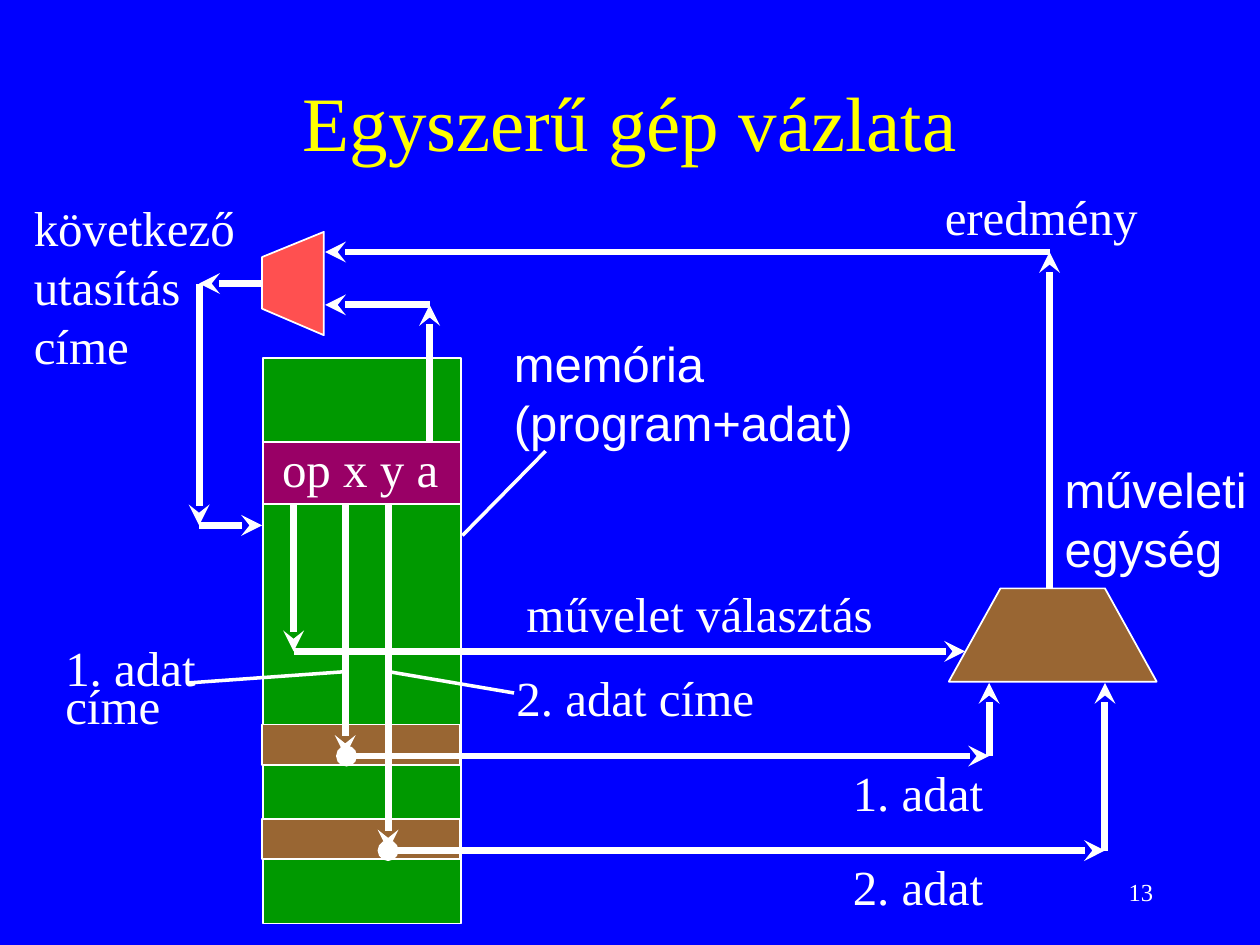
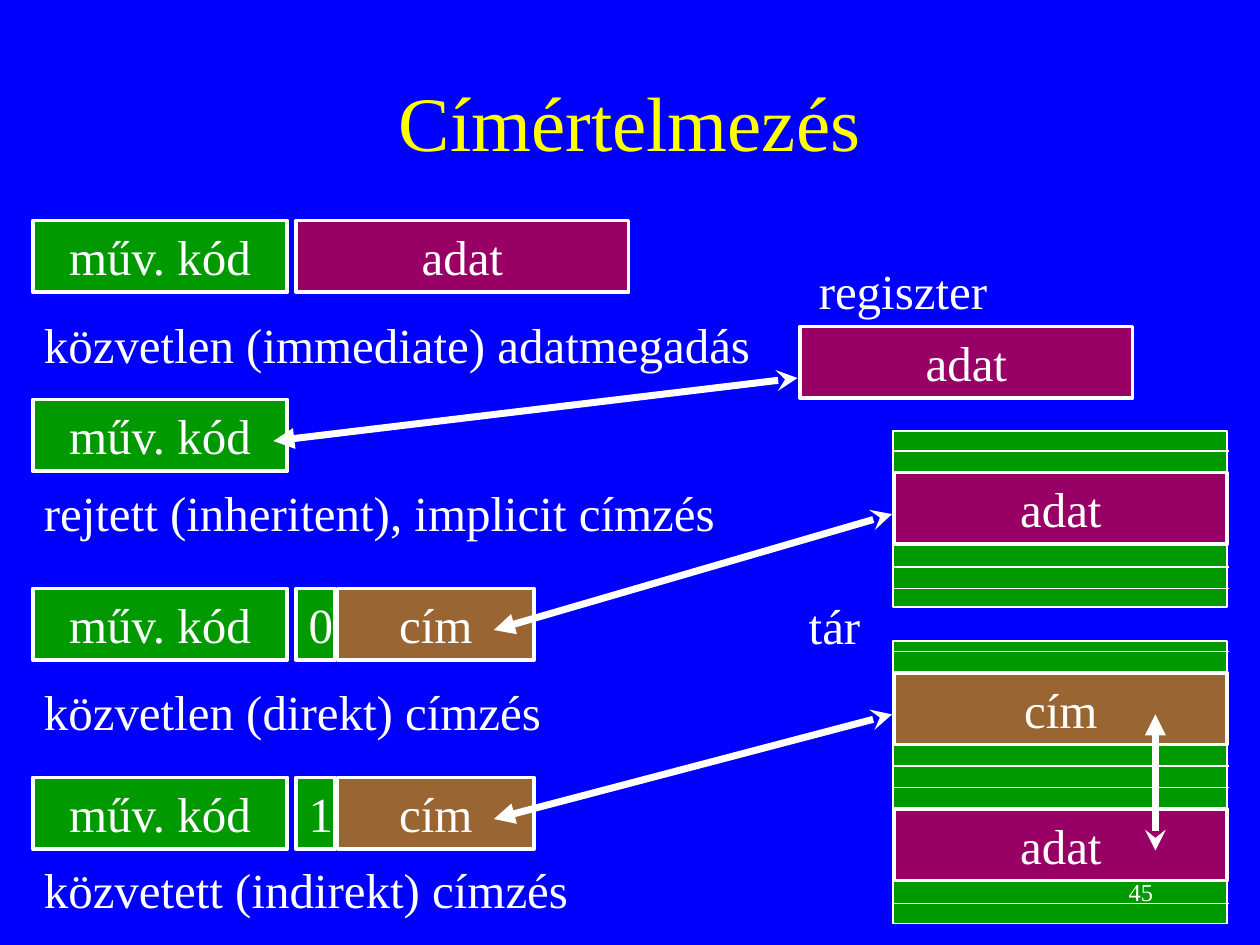
from pptx import Presentation, util as u
from pptx.dml.color import RGBColor
from pptx.enum import shapes, text
from pptx.oxml.ns import qn
from lxml import etree

PX = 9144  # EMU per px: 100 px to the inch

BLUE = RGBColor(0x00, 0x00, 0xFF)
YELLOW = RGBColor(0xFF, 0xFF, 0x00)
WHITE = RGBColor(0xFF, 0xFF, 0xFF)
GREEN = RGBColor(0x00, 0x99, 0x00)
PURPLE = RGBColor(0x99, 0x00, 0x66)
BROWN = RGBColor(0x99, 0x66, 0x33)
CORAL = RGBColor(0xFF, 0x50, 0x50)

SERIF, SANS = "Times New Roman", "Arial"
TITLE_FONT = {"name": SERIF, "size": u.Pt(44)}
LABEL_FONT = {"name": SERIF, "size": u.Pt(28)}
LABEL_FRAME = {"word_wrap": False, "auto_size": text.MSO_AUTO_SIZE.SHAPE_TO_FIT_TEXT}
BOX_FRAME = {"word_wrap": True, "vertical_anchor": text.MSO_ANCHOR.TOP}
NUMBER_FRAME = {"word_wrap": True, "vertical_anchor": text.MSO_ANCHOR.MIDDLE}


def add_box(slide, box, words="", fill=None, line_width=2, frame=None, **font):
    """Add a filled rectangle with centred words, or a plain label if there is no fill."""
    left, top, width, height = (length * PX for length in box)
    if fill is None:
        shape = slide.shapes.add_textbox(left, top, width, height)
    else:
        shape = slide.shapes.add_shape(
            shapes.MSO_SHAPE.RECTANGLE, left, top, width, height)
        shape.shadow.inherit = False
        shape.fill.solid()
        shape.fill.fore_color.rgb = fill
        shape.line.color.rgb = WHITE
        shape.line.width = u.Pt(line_width)
    text_frame = shape.text_frame
    text_frame.text = words
    for key, value in (frame or (BOX_FRAME if fill else LABEL_FRAME)).items():
        setattr(text_frame, key, value)
    for paragraph in text_frame.paragraphs:
        paragraph.alignment = text.PP_ALIGN.CENTER if fill else text.PP_ALIGN.LEFT
        for key, value in {**LABEL_FONT, **font}.items():
            setattr(paragraph.font, key, value)
        paragraph.font.color.rgb = WHITE
    return shape


def add_line(slide, ends, width=4, head=None, tail=None):
    """Draw a white line; head is the mark at its start, tail the one at its end."""
    line = slide.shapes.add_connector(
        shapes.MSO_CONNECTOR.STRAIGHT, *(length * PX for length in ends))
    line.line.color.rgb = WHITE
    line.line.width = u.Pt(width)
    properties = line._element.spPr
    for tag, mark in (("a:headEnd", head), ("a:tailEnd", tail)):
        if mark:
            etree.SubElement(properties.find(qn("a:ln")), qn(tag), type=mark)
    etree.SubElement(properties, qn("a:effectLst"))


presentation = Presentation()
presentation.slide_width = 1000 * PX
presentation.slide_height = 750 * PX
background = presentation.slide_master.background.fill
background.solid()
background.fore_color.rgb = BLUE

# Shared title
slides = []
for heading in ("Egyszerű gép vázlata", "Címértelmezés"):
    slide = presentation.slides.add_slide(presentation.slide_layouts[5])
    title = slide.shapes.title
    title.left, title.top, title.width, title.height = (
        length * PX for length in (75, 33, 850, 125))
    title.text_frame.text = heading
    title.text_frame.auto_size = text.MSO_AUTO_SIZE.NONE
    title.text_frame.vertical_anchor = text.MSO_ANCHOR.MIDDLE
    paragraph = title.text_frame.paragraphs[0]
    paragraph.alignment = text.PP_ALIGN.CENTER
    for key, value in TITLE_FONT.items():
        setattr(paragraph.font, key, value)
    paragraph.font.color.rgb = YELLOW
    slides.append(slide)
machine, addressing = slides

# Machine: memory with the instruction and the two data cells
for box, colour in (
    ((209, 284, 157, 449), GREEN),
    ((209, 351, 157, 49), PURPLE),
    ((208, 575, 157, 32), BROWN),
    ((208, 650, 157, 32), BROWN),
):
    add_box(machine, box, fill=colour, line_width=1)

# Machine: operation unit and next-address selector
for corners, colour in (
    (((753, 541), (918, 541), (877, 467), (794, 467)), BROWN),
    (((257, 184), (257, 266), (208, 245), (208, 204)), CORAL),
):
    builder = machine.shapes.build_freeform(*corners[0], scale=PX)
    builder.add_line_segments(corners[1:], close=True)
    unit = builder.convert_to_shape()
    unit.shadow.inherit = False
    unit.fill.solid()
    unit.fill.fore_color.rgb = colour
    unit.line.color.rgb = WHITE
    unit.line.width = u.Pt(1)

# Machine: data paths, each a chain of points with an arrow at the end of every leg
for path_points in (
    ((341, 351), (341, 242), (258, 242)),
    ((233, 400), (233, 517), (766, 517)),
    ((274, 400), (274, 600)),
    ((308, 400), (308, 675)),
    ((785, 600), (785, 542)),
    ((877, 675), (877, 542)),
    ((833, 467), (833, 200), (258, 200)),
    ((208, 225), (158, 225), (158, 417), (208, 417)),
):
    for start, end in zip(path_points, path_points[1:]):
        add_line(machine, start + end, tail="stealth")
for ends in ((275, 600, 785, 600), (308, 675, 877, 675)):
    add_line(machine, ends, head="oval", tail="stealth")
for pointer in ((433, 358, 367, 425), (408, 550, 308, 533), (150, 542, 275, 533)):
    add_line(machine, pointer, width=2)

# Machine: labels
for box, words, font_name in (
    ((214, 343, 144, 57), "op x y a", SERIF),
    ((398, 260, 289, 104), "memória\n(program+adat)", SANS),
    ((835, 360, 165, 104), "műveleti\negység", SANS),
    ((408, 458, 295, 57), "művelet választás", SERIF),
    ((17, 152, 180, 150), "következő\nutasítás\ncíme", SERIF),
    ((400, 525, 209, 57), "2. adat címe", SERIF),
    ((667, 600, 124, 57), "1. adat", SERIF),
    ((667, 675, 124, 57), "2. adat", SERIF),
    ((740, 143, 173, 57), "eredmény", SERIF),
):
    add_box(machine, box, words, name=font_name)
first_address = add_box(machine, (42, 492, 124, 94), "1. adat\ncíme")
for paragraph, spacing in zip(first_address.text_frame.paragraphs, (1.2, 0.6)):
    paragraph.line_spacing = spacing

# Addressing: instruction formats
CELL_HEIGHT = 57
for top in (175, 317, 467, 617):
    add_box(addressing, (26, top, 202, CELL_HEIGHT), "műv. kód", GREEN)
for top, mode_bit in ((467, "0"), (617, "1")):
    add_box(addressing, (235, top, 31, CELL_HEIGHT), mode_bit, GREEN)
    add_box(addressing, (268, top, 156, CELL_HEIGHT), "cím", BROWN)

# Addressing: memory blocks with their empty rows, then the wide cells
for top, height in ((342, 140), (509, 224)):
    add_box(addressing, (709, top, 265, height), fill=GREEN, line_width=1)
for y in (358, 450, 467, 517, 608, 625, 717):
    add_line(addressing, (708, y, 975, y), width=1)
for left, top, words, colour in (
    (235, 175, "adat", PURPLE),
    (635, 259, "adat", PURPLE),
    (710, 375, "adat", PURPLE),
    (710, 534, "cím", BROWN),
    (710, 642, "adat", PURPLE),
):
    add_box(addressing, (left, top, 264, CELL_HEIGHT), words, colour)

for ends in (
    (217, 350, 633, 300),
    (392, 500, 708, 408),
    (392, 650, 708, 567),
    (917, 567, 917, 675),
):
    add_line(addressing, ends, head="triangle", tail="stealth")

# Addressing: labels
for left, top, width, words in (
    (25, 245, 581, "közvetlen (immediate) adatmegadás"),
    (25, 378, 553, "rejtett (inheritent), implicit címzés"),
    (25, 536, 415, "közvetlen (direkt) címzés"),
    (25, 677, 436, "közvetett (indirekt) címzés"),
    (640, 202, 154, "regiszter"),
    (632, 468, 61, "tár"),
):
    add_box(addressing, (left, top, width, CELL_HEIGHT), words)

# Shared slide number, in front of everything else
for slide, number in zip(slides, ("13", "45")):
    footer = add_box(slide, (717, 683, 208, 50), number, frame=NUMBER_FRAME, size=u.Pt(14))
    footer.text_frame.paragraphs[0].alignment = text.PP_ALIGN.RIGHT

presentation.save("out.pptx")
